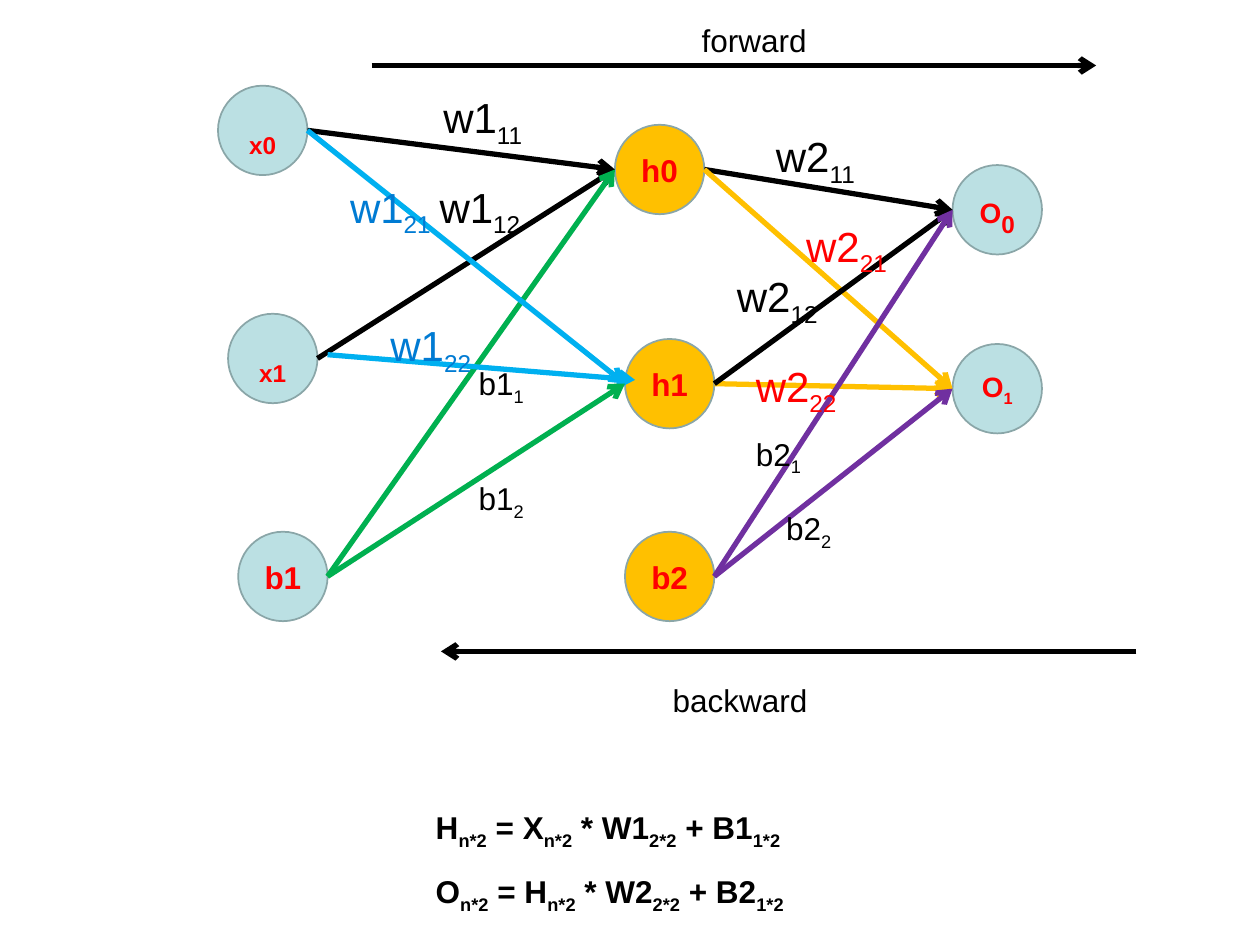
from lxml import etree
from pptx import Presentation
from pptx.dml.color import RGBColor
from pptx.enum import shapes, text
from pptx.oxml import ns
from pptx.util import Inches, Pt

BLACK = RGBColor(0x00, 0x00, 0x00)
RED = RGBColor(0xFF, 0x00, 0x00)
GREEN = RGBColor(0x00, 0xB0, 0x50)
CYAN = RGBColor(0x00, 0xB0, 0xF0)
PURPLE = RGBColor(0x70, 0x30, 0xA0)
AMBER = RGBColor(0xFF, 0xC0, 0x00)
PALE = RGBColor(0xBB, 0xE0, 0xE3)
EDGE = RGBColor(0x8A, 0xA6, 0xA8)
BLUE = RGBColor(0x00, 0x7B, 0xD3)
NAVY = RGBColor(0x03, 0x43, 0x73)
FADE = (BLUE, NAVY)

SIZE = 0.71
NODES = {
    "x0": (1.73, 0.68, PALE, "|x0", 24, 24),
    "x1": (1.81, 2.49, PALE, "|x1", 24, 24),
    "b1": (1.89, 4.22, PALE, "b1", 18, 18),
    "h0": (4.88, 0.99, AMBER, "h0", 18, 18),
    "h1": (4.96, 2.69, AMBER, "h1", 18, 18),
    "b2": (4.96, 4.22, AMBER, "b2", 18, 18),
    "o0": (7.56, 1.31, PALE, "O|0", 16, 24),
    "o1": (7.56, 2.73, PALE, "O|1", 16, 16),
}
LINKS = [
    ("x0", "h0", BLACK, 0, 0),
    ("x1", "h0", BLACK, 0, 0),
    ("b1", "h0", GREEN, 0, 0),
    ("x0", "h1", CYAN, 0, 0),
    ("x1", "h1", CYAN, 0.08, -0.03),
    ("b1", "h1", GREEN, 0, 0),
    ("h0", "o0", BLACK, 0, 0),
    ("h0", "o1", AMBER, 0, 0),
    ("h1", "o1", AMBER, 0, 0),
    ("h1", "o0", BLACK, 0, 0),
    ("b2", "o0", PURPLE, 0, 0),
    ("b2", "o1", PURPLE, 0, 0),
]
FLOWS = [(2.95, 8.7, 0.52), (9.02, 3.5, 5.17)]
WEIGHT = (0.87, 0.5, 24)
BIAS = (0.57, 0.4, 18)
LABELS = [
    ("w1|11", 3.42, 0.68, WEIGHT, BLACK),
    ("w1|12", 3.39, 1.39, WEIGHT, BLACK),
    ("w1|21", 2.68, 1.39, WEIGHT, FADE),
    ("w1|22", 3, 2.49, WEIGHT, FADE),
    ("b1|1", 3.7, 2.84, BIAS, BLACK),
    ("b1|2", 3.7, 3.75, BIAS, BLACK),
    ("w2|11", 6.06, 0.99, WEIGHT, BLACK),
    ("w2|12", 5.75, 2.1, WEIGHT, BLACK),
    ("w2|21", 6.3, 1.7, WEIGHT, RED),
    ("w2|22", 5.9, 2.81, WEIGHT, RED),
    ("b2|1", 5.9, 3.4, BIAS, BLACK),
    ("b2|2", 6.14, 3.99, BIAS, BLACK),
    ("forward", 5.47, 0.12, (1.1, 0.4, 18), BLACK),
    ("backward", 5.24, 5.36, (1.62, 0.4, 18), BLACK),
]
WRAPPED = ("forward", "backward")
RULES = [
    "H|n*2| = X|n*2| * W1|2*2| + B1|1*2",
    "O|n*2| = H|n*2| * W2|2*2| + B2|1*2",
]


def style(item, form):
    for name, value in form.items():
        setattr(item, name, value)


def write(para, line, sizes, color, bold=False):
    for i, part in enumerate(line.split("|")):
        if not part:
            continue
        run = para.add_run()
        run.text = part
        font = run.font
        style(font, {"name": "Arial", "size": Pt(sizes[i % 2]), "bold": bold})
        if color is FADE:
            font.fill.gradient()
            font.fill.gradient_angle = 0
            for stop, tone in zip(font.fill.gradient_stops, FADE):
                stop.color.rgb = tone
        else:
            font.color.rgb = color
        if i % 2:
            font._element.set("baseline", "-25000")


def add_node(slide, left, top, fill, label, size, sub):
    node = slide.shapes.add_shape(
        shapes.MSO_SHAPE.OVAL, Inches(left), Inches(top), Inches(SIZE), Inches(SIZE))
    node.shadow.inherit = False
    node.fill.solid()
    node.fill.fore_color.rgb = fill
    node.line.color.rgb = EDGE
    node.line.width = Pt(1)
    frame = node.text_frame
    style(frame, {"word_wrap": False, "vertical_anchor": text.MSO_ANCHOR.MIDDLE,
                  "margin_left": 0, "margin_right": 0})
    para = frame.paragraphs[0]
    para.alignment = text.PP_ALIGN.CENTER
    write(para, label, (size, sub), RED, True)


def add_arrow(slide, start, end, color):
    points = [Inches(v) for v in (*start, *end)]
    arrow = slide.shapes.add_connector(shapes.MSO_CONNECTOR.STRAIGHT, *points)
    arrow.line.color.rgb = color
    arrow.line.width = Pt(3)
    etree.SubElement(arrow.line._get_or_add_ln(), ns.qn("a:tailEnd"), type="arrow")
    etree.SubElement(arrow._element.spPr, ns.qn("a:effectLst"))


def add_box(slide, left, top, width, height, wrap):
    box = slide.shapes.add_textbox(
        Inches(left), Inches(top), Inches(width), Inches(height))
    style(box.text_frame, {"word_wrap": wrap,
                           "auto_size": text.MSO_AUTO_SIZE.SHAPE_TO_FIT_TEXT})
    return box.text_frame


def main():
    deck = Presentation()
    style(deck, {"slide_width": Inches(10), "slide_height": Inches(7.5)})
    slide = deck.slides.add_slide(deck.slide_layouts[6])

    for node in NODES.values():
        add_node(slide, *node)
    for tail, head, color, dx, dy in LINKS:
        x1, y1 = NODES[tail][:2]
        x2, y2 = NODES[head][:2]
        mid = SIZE / 2 + dy
        add_arrow(slide, (x1 + SIZE + dx, y1 + mid), (x2 + dx, y2 + mid), color)
    for start, end, y in FLOWS:
        add_arrow(slide, (start, y), (end, y), BLACK)
    for label, left, top, (width, height, size), color in LABELS:
        frame = add_box(slide, left, top, width, height, label in WRAPPED)
        write(frame.paragraphs[0], label, (size, size), color)

    frame = add_box(slide, 3.36, 6.19, 3.41, 1.01, True)
    for i, rule in enumerate(RULES):
        para = frame.add_paragraph() if i else frame.paragraphs[0]
        para.line_spacing = 1.5
        write(para, rule, (18, 18), BLACK, True)

    deck.save("out.pptx")


if __name__ == "__main__":
    main()
